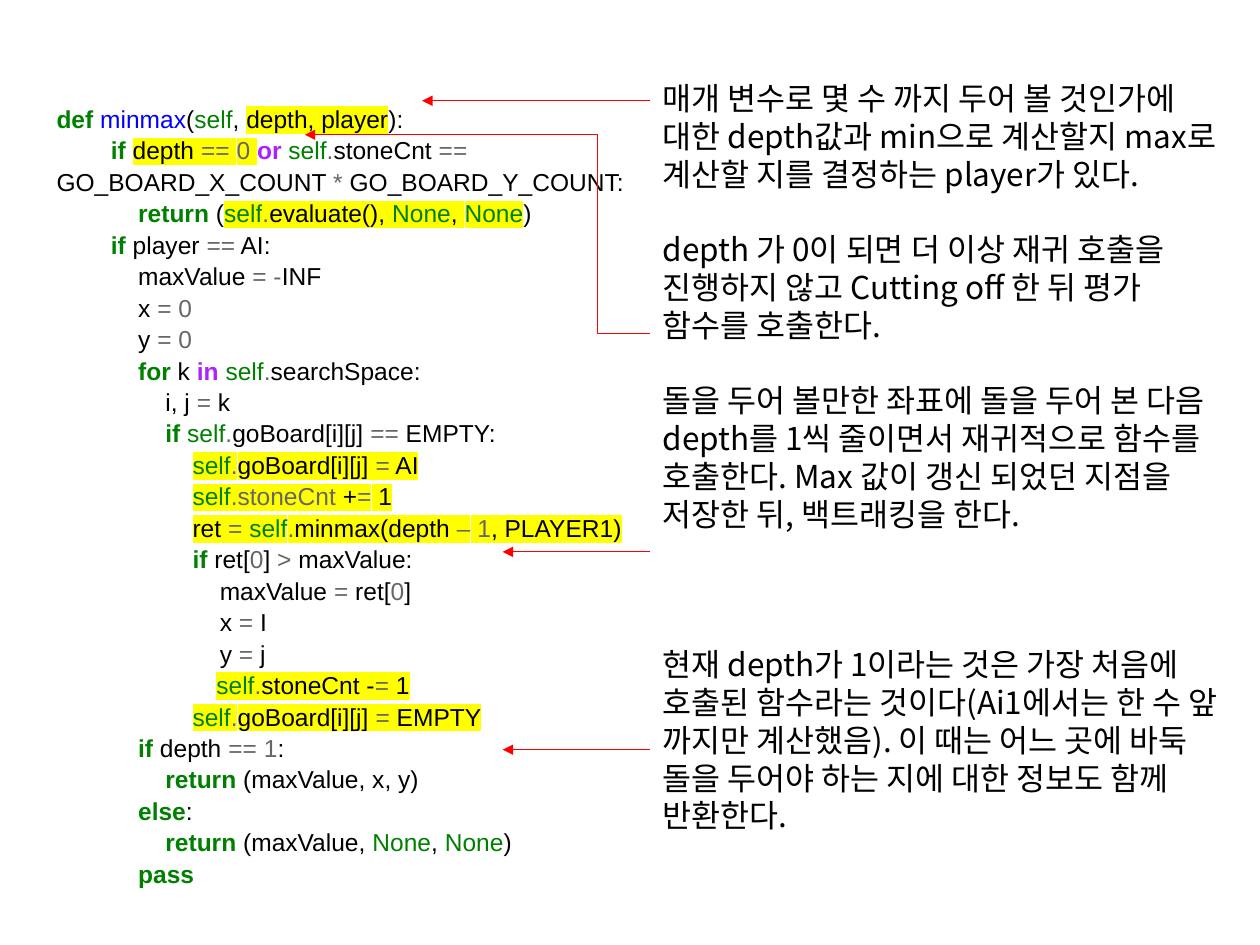
import pptx
import pptx.dml.color
import pptx.enum.shapes
import pptx.enum.text
import pptx.oxml
import pptx.oxml.ns
import pptx.util
from pptx.util import Inches

CODE_FONT = "Arial"
NOTE_FONT = "Noto Sans CJK KR"
YELLOW = "FFFF00"
RED = "FF0000"
SPACE_WIDTH = 0.054  # inches, one space of the code font

# Lower-case key: plain; the same key in upper case: highlighted.
STYLES = {
    "t": ("000000", False),  # plain text
    "k": ("008000", True),   # keyword
    "s": ("008000", False),  # self, None
    "o": ("666666", False),  # operator, number
    "f": ("0000FF", False),  # function name
    "w": ("AA22FF", True),   # word operator
}
SELF = [("s", "self"), ("o", ".")]
MARKED_SELF = [("S", "self"), ("O", ".")]
NONE_PAIR = [("s", "None"), ("t", ", "), ("s", "None"), ("t", ")")]

# Indent in spaces, then the styled pieces of the line.
CODE = [
    (0, [("k", "def "), ("f", "minmax"), ("t", "("), ("s", "self"), ("t", ", "),
         ("T", "depth, player"), ("t", "):")]),
    (8, [("k", "if "), ("T", "depth "), ("O", "=="), ("T", " "), ("O", "0"), ("T", " "),
         ("w", "or "), *SELF, ("t", "stoneCnt "), ("o", "=="),
         ("t", " GO_BOARD_X_COUNT "), ("o", "*"), ("t", " GO_BOARD_Y_COUNT:")]),
    (12, [("k", "return"), ("t", " ("), *MARKED_SELF, ("T", "evaluate(), "),
          ("S", "None"), ("T", ", "), ("S", "None"), ("t", ")")]),
    (8, [("k", "if"), ("t", " player "), ("o", "=="), ("t", " AI:")]),
    (12, [("t", "maxValue "), ("o", "= -"), ("t", "INF")]),
    (12, [("t", "x "), ("o", "= 0")]),
    (12, [("t", "y "), ("o", "= 0")]),
    (12, [("k", "for"), ("t", " k "), ("w", "in "), *SELF, ("t", "searchSpace:")]),
    (16, [("t", "i, j "), ("o", "="), ("t", " k")]),
    (16, [("k", "if "), *SELF, ("t", "goBoard[i][j] "), ("o", "=="), ("t", " EMPTY:")]),
    (20, [*MARKED_SELF, ("T", "goBoard[i][j] "), ("O", "="), ("T", " AI")]),
    (20, [("S", "self"), ("O", ".stoneCnt"), ("T", " +"), ("O", "="), ("T", " 1")]),
    (20, [("T", "ret "), ("O", "="), ("T", " "), *MARKED_SELF, ("T", "minmax(depth "),
          ("O", "–"), ("T", " "), ("O", "1"), ("T", ", PLAYER1)")]),
    (20, [("k", "if"), ("t", " ret["), ("o", "0"), ("t", "] "), ("o", "> "),
          ("t", "maxValue:")]),
    (24, [("t", "maxValue "), ("o", "="), ("t", " ret["), ("o", "0"), ("t", "]")]),
    (24, [("t", "x "), ("o", "="), ("t", " I")]),
    (24, [("t", "y "), ("o", "="), ("t", " j")]),
    (23.5, [*MARKED_SELF, ("T", "stoneCnt -"), ("O", "="), ("T", " 1")]),
    (20, [*MARKED_SELF, ("T", "goBoard[i][j] "), ("O", "="), ("T", " EMPTY")]),
    (12, [("k", "if"), ("t", " depth "), ("o", "== 1"), ("t", ":")]),
    (16, [("k", "return"), ("t", " (maxValue, x, y)")]),
    (12, [("k", "else"), ("t", ":")]),
    (16, [("k", "return"), ("t", " (maxValue, "), *NONE_PAIR]),
    (12, [("k", "pass")]),
]

# Space before in points, then the text.
NOTES = [
    (0, "매개 변수로 몇 수 까지 두어 볼 것인가에 대한 depth값과 min으로 계산할지 "
        "max로 계산할 지를 결정하는 player가 있다."),
    (21.5, "depth 가 0이 되면 더 이상 재귀 호출을 진행하지 않고 Cutting off 한 뒤 "
           "평가 함수를 호출한다."),
    (21.5, "돌을 두어 볼만한 좌표에 돌을 두어 본 다음 depth를 1씩 줄이면서 재귀적으로 "
           "함수를 호출한다. Max 값이 갱신 되었던 지점을 저장한 뒤, 백트래킹을 한다."),
    (64.5, "현재 depth가 1이라는 것은 가장 처음에 호출된 함수라는 것이다(Ai1에서는 한 수 "
           "앞 까지만 계산했음). 이 때는 어느 곳에 바둑 돌을 두어야 하는 지에 대한 정보도 "
           "함께 반환한다."),
]


def rgb(value):
    return pptx.dml.color.RGBColor.from_string(value)


def make(tag, parent, **attributes):
    return pptx.oxml.ns.qn and parent.makeelement(pptx.oxml.ns.qn(tag), attributes)


def add_text(para, text, *, font, size, color="000000", bold=False, highlight=None):
    span = para.add_run()
    span.text = text
    span.font.size = pptx.util.Pt(size)
    span.font.bold = bold
    span.font.color.rgb = rgb(color)
    span.font.name = font
    properties = span.font._element
    latin = properties.find(pptx.oxml.ns.qn("a:latin"))
    latin.addnext(make("a:ea", properties, typeface=font))
    if highlight:
        mark = make("a:highlight", properties)
        mark.append(make("a:srgbClr", mark, val=highlight))
        latin.addprevious(mark)


def add_box(slide, left, top, width, height):
    box = slide.shapes.add_textbox(Inches(left), Inches(top), Inches(width), Inches(height))
    box.text_frame.word_wrap = True
    box.text_frame.auto_size = pptx.enum.text.MSO_AUTO_SIZE.NONE
    return box.text_frame


def add_paragraphs(frame, count):
    return [frame.paragraphs[0]] + [frame.add_paragraph() for _ in range(count - 1)]


def add_code(slide):
    frame = add_box(slide, 0.35, 0.76, 5.12, 6.89)
    for para, (spaces, pieces) in zip(add_paragraphs(frame, len(CODE)), CODE):
        para.line_spacing = 1.07
        # First-line indent only: a wrapped line returns to the margin.
        properties = para._p.get_or_add_pPr()
        properties.set("marL", "0")
        properties.set("indent", str(int(Inches(spaces * SPACE_WIDTH))))
        for key, text in pieces:
            color, bold = STYLES[key.lower()]
            add_text(para, text, font=CODE_FONT, size=14, color=color, bold=bold,
                     highlight=YELLOW if key.isupper() else None)


def add_notes(slide):
    frame = add_box(slide, 5.16, 0.58, 4.65, 6.46)
    for para, (gap, text) in zip(add_paragraphs(frame, len(NOTES)), NOTES):
        para.space_before = pptx.util.Pt(gap)
        add_text(para, text, font=NOTE_FONT, size=18)


def add_arrow(slide, start, end, bend=None):
    """Draw a red arrow; bend is the share of the width before an elbow's turn."""
    kinds = pptx.enum.shapes.MSO_CONNECTOR
    arrow = slide.shapes.add_connector(
        kinds.STRAIGHT if bend is None else kinds.ELBOW,
        *(Inches(value) for value in start + end))
    arrow.line.color.rgb = rgb(RED)
    arrow.line.width = pptx.util.Pt(0.5)
    line = arrow.line._get_or_add_ln()
    line.append(make("a:tailEnd", line, type="triangle"))
    properties = arrow._element.spPr
    properties.append(make("a:effectLst", properties))
    if bend is not None:
        guides = properties.find(".//" + pptx.oxml.ns.qn("a:avLst"))
        guides.append(make("a:gd", guides, name="adj1", fmla=f"val {round(bend * 100000)}"))


def main():
    deck = pptx.Presentation()
    deck.slide_width, deck.slide_height = Inches(10), Inches(7.5)
    slide = deck.slides.add_slide(deck.slide_layouts[6])
    add_code(slide)
    add_notes(slide)
    add_arrow(slide, (5.16, 2.65), (2.42, 1.07), bend=0.152)
    for y, tip in ((0.8, 3.35), (4.38, 3.99), (5.95, 3.99)):
        add_arrow(slide, (5.16, y), (tip, y))
    deck.save("out.pptx")


if __name__ == "__main__":
    main()
